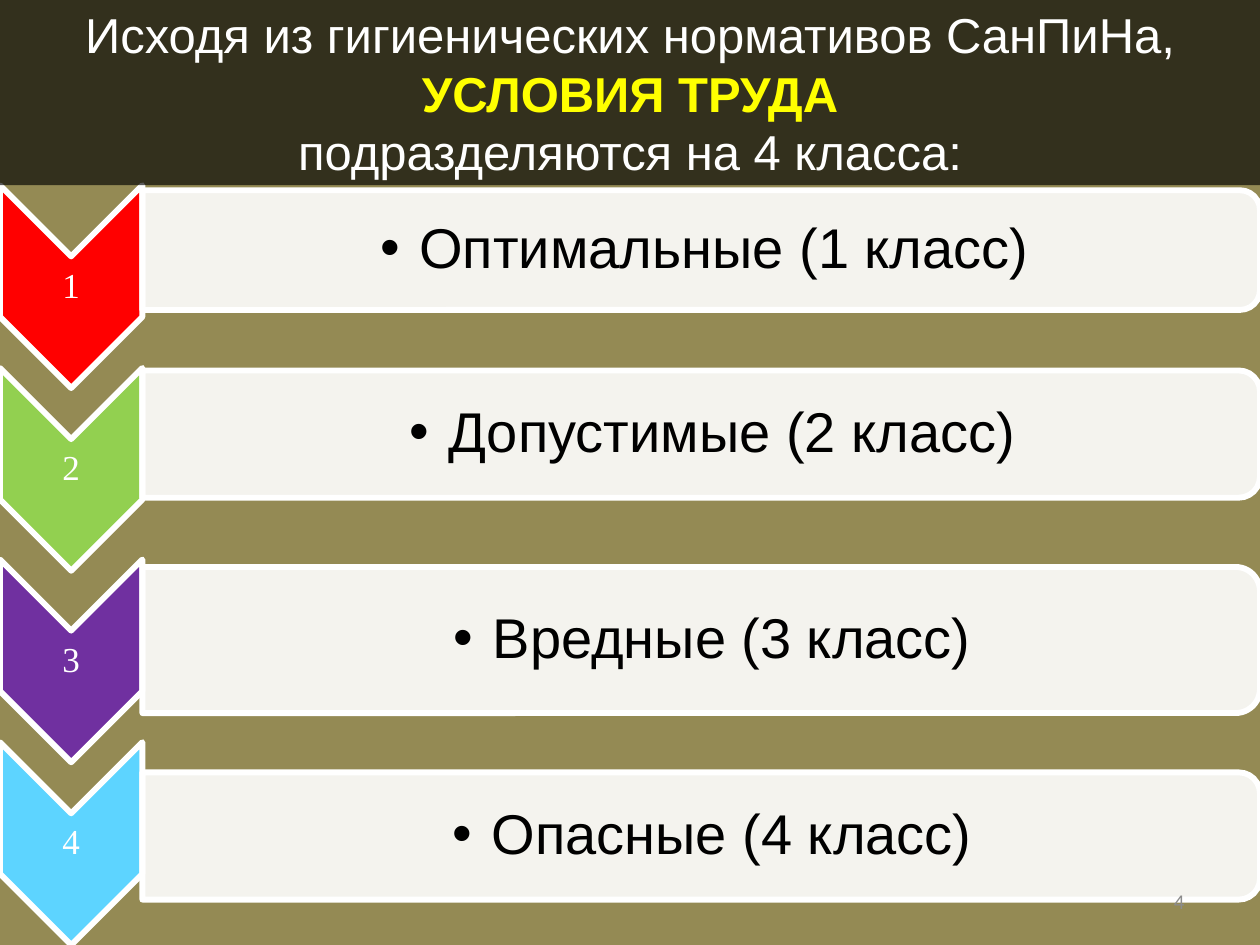
"""Build a slide listing the four classes of working conditions."""
from lxml import etree
from pptx import Presentation
from pptx.dml.color import RGBColor
from pptx.enum.shapes import MSO_SHAPE
from pptx.enum.text import MSO_ANCHOR, PP_ALIGN
from pptx.oxml.ns import qn
from pptx.util import Inches, Pt

CHEVRON, BAR, RECTANGLE = MSO_SHAPE.CHEVRON, MSO_SHAPE.ROUND_2_SAME_RECTANGLE, MSO_SHAPE.RECTANGLE
CENTER, RIGHT, MIDDLE = PP_ALIGN.CENTER, PP_ALIGN.RIGHT, MSO_ANCHOR.MIDDLE

THEME = {
    "background": "948A54", "white": "FFFFFF", "black": "000000",
    "accent": "FFFF00", "page_number": "8C8C8C",
    "body_font": "Arial", "number_font": "Times New Roman", "page_font": "Calibri",
    "title_size": 28, "class_size": 32, "number_size": 20, "page_size": 12,
    "line_width": 3.35,
}
SLIDE_WIDTH, SLIDE_HEIGHT = 10, 7.5
HEADER_HEIGHT = 1.47
NUMBER_COLUMN = 1.13
BAR_COLUMN = SLIDE_WIDTH - NUMBER_COLUMN
CHEVRON_HEIGHT = 1.61
NOTCH = NUMBER_COLUMN / 2

CLASSES = [
    ("Оптимальные (1 класс) ", "FF0000", 1.47, 1.51, 0.95),
    ("Допустимые (2 класс)", "92D050", 2.92, 2.94, 1.01),
    ("Вредные (3 класс)", "7030A0", 4.44, 4.5, 1.16),
    ("Опасные (4 класс)", "5DD4FF", 5.89, 6.13, 1.01),
]
TITLE_LINES = [
    ("Исходя из гигиенических нормативов СанПиНа,", "white", False),
    ("УСЛОВИЯ ТРУДА", "accent", True),
    ("подразделяются на 4 класса:", "white", False),
]


def write(para, text, *, font, size, color, bold=False, align=CENTER, spacing=1.0, bullet=False):
    para.alignment = align
    para.line_spacing = spacing
    if bullet:
        properties = para._p.get_or_add_pPr()
        properties.set("marL", str(Inches(0.31)))
        properties.set("indent", str(Inches(-0.31)))
        etree.SubElement(properties, qn("a:buFont"), typeface="Arial")
        etree.SubElement(properties, qn("a:buChar"), char="•")
    span = para.add_run()
    span.text = text
    span.font.name = THEME[font]
    span.font.size = Pt(THEME[size])
    span.font.bold = bold
    span.font.color.rgb = RGBColor.from_string(THEME[color])


def add_panel(preset, left, top, width, height, *, color, opacity=100, outlined=True, turned=False):
    if turned:
        left, top = left + (width - height) / 2, top + (height - width) / 2
        width, height = height, width
    panel = page.shapes.add_shape(preset, Inches(left), Inches(top), Inches(width), Inches(height))
    panel.rotation = 90 if turned else 0
    panel.shadow.inherit = False
    panel.fill.solid()
    panel.fill.fore_color.rgb = RGBColor.from_string(color)
    if opacity < 100:
        tint = panel._element.spPr.find(qn("a:solidFill"))[0]
        etree.SubElement(tint, qn("a:alpha"), val=str(opacity * 1000))
    if outlined:
        panel.line.color.rgb = RGBColor.from_string(THEME["white"])
        panel.line.width = Pt(THEME["line_width"])
    else:
        panel.line.fill.background()
    return panel


deck = Presentation()
deck.slide_width, deck.slide_height = Inches(SLIDE_WIDTH), Inches(SLIDE_HEIGHT)
page = deck.slides.add_slide(deck.slide_layouts[6])
page.background.fill.solid()
page.background.fill.fore_color.rgb = RGBColor.from_string(THEME["background"])

label_formats = {
    "number": dict(font="number_font", size="number_size", color="white", spacing=0.9),
    "class": dict(font="body_font", size="class_size", color="black", spacing=0.9, bullet=True),
    "page": dict(font="page_font", size="page_size", color="page_number", align=RIGHT),
}
labels = []
for number, (name, color, chevron_top, bar_top, bar_height) in enumerate(CLASSES, start=1):
    add_panel(CHEVRON, 0, chevron_top, NUMBER_COLUMN, CHEVRON_HEIGHT, color=color, turned=True)
    add_panel(BAR, NUMBER_COLUMN, bar_top, BAR_COLUMN, bar_height,
              color=THEME["white"], opacity=90, turned=True)
    labels += [
        ("number", str(number), 0, chevron_top + NOTCH, NUMBER_COLUMN,
         CHEVRON_HEIGHT - 2 * NOTCH, 0.01, 0.01),
        ("class", name, NUMBER_COLUMN, bar_top + 0.05, BAR_COLUMN - 0.05,
         bar_height - 0.1, 0.25, 0.02),
    ]
labels.append(("page", "4", 7.17, 6.95, 2.33, 0.4, 0.1, 0.05))

header = add_panel(RECTANGLE, 0, 0, SLIDE_WIDTH, HEADER_HEIGHT,
                   color=THEME["black"], opacity=65, outlined=False)
header.text_frame.word_wrap = True
header.text_frame.vertical_anchor = MIDDLE
for index, (text, color, bold) in enumerate(TITLE_LINES):
    para = header.text_frame.add_paragraph() if index else header.text_frame.paragraphs[0]
    write(para, text, font="body_font", size="title_size", color=color, bold=bold)

for kind, text, left, top, width, height, left_inset, inset in labels:
    box = page.shapes.add_textbox(Inches(left), Inches(top), Inches(width), Inches(height))
    frame = box.text_frame
    frame.word_wrap = True
    frame.vertical_anchor = MIDDLE
    frame.margin_left = Inches(left_inset)
    frame.margin_right = Inches(0.1 if kind == "page" else inset)
    frame.margin_top = frame.margin_bottom = Inches(inset)
    write(frame.paragraphs[0], text, **label_formats[kind])

deck.save("out.pptx")
